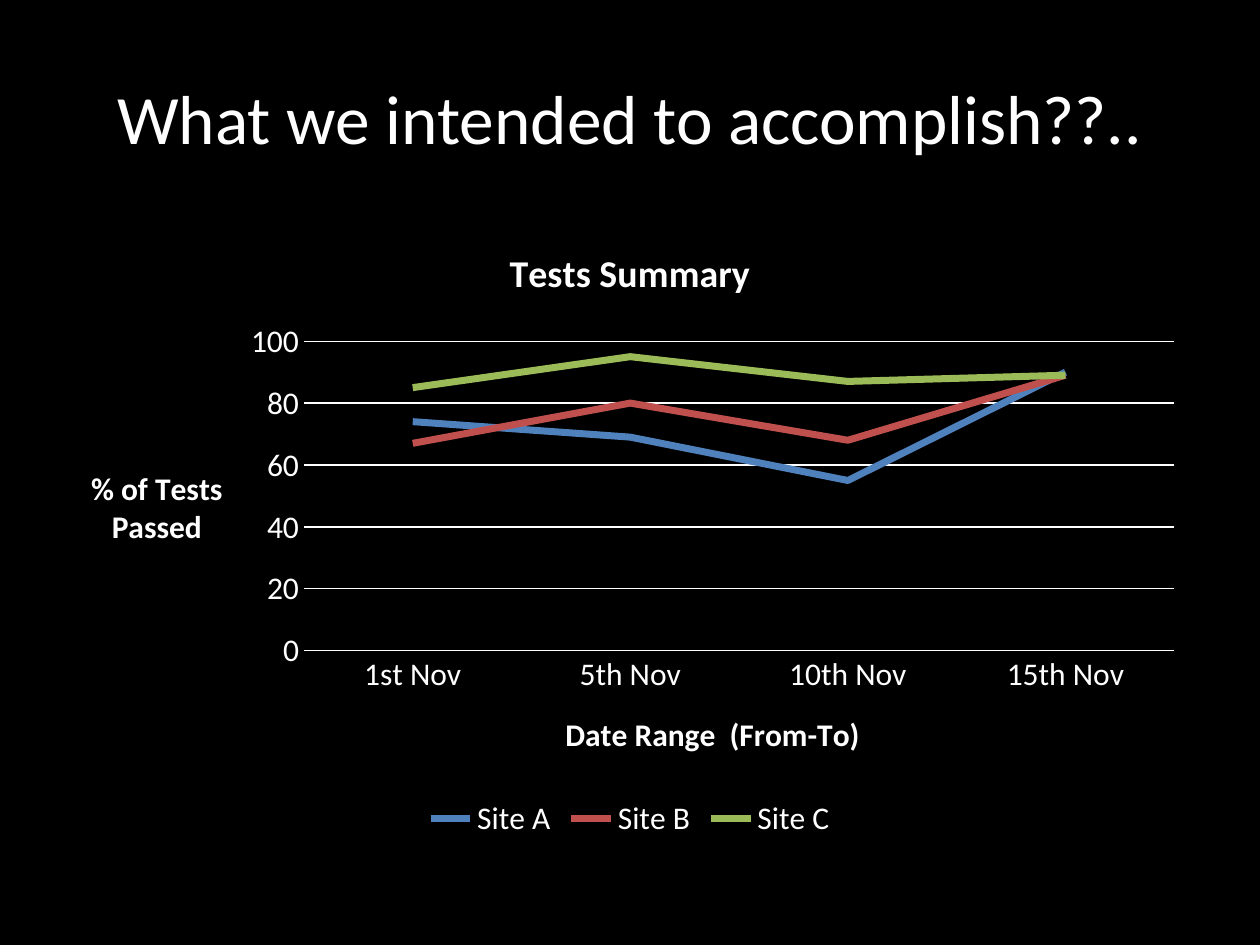
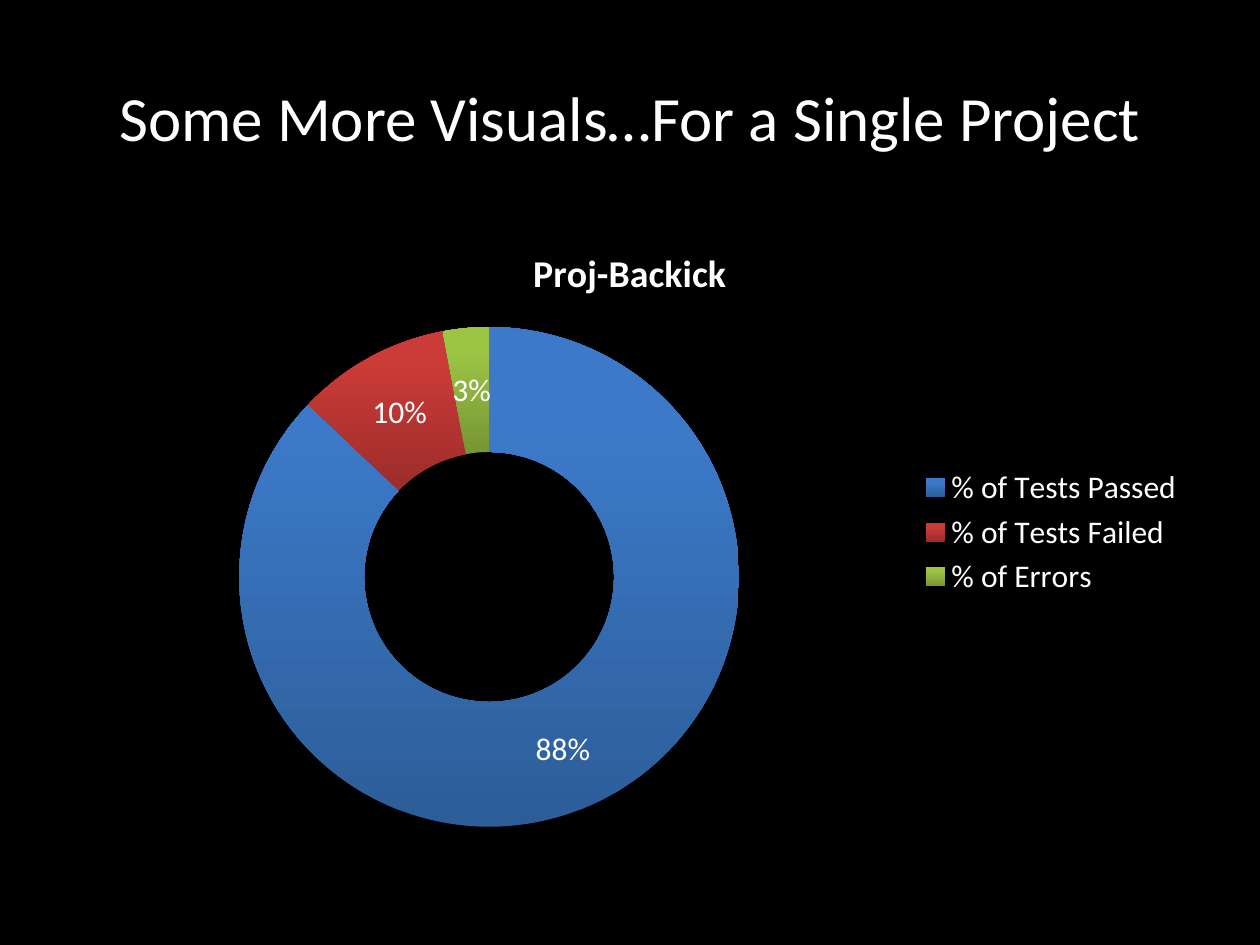
from dataclasses import dataclass

from pptx import Presentation
from pptx.chart.data import CategoryChartData
from pptx.dml.color import RGBColor
from pptx.enum.chart import (
    XL_CHART_TYPE,
    XL_LEGEND_POSITION,
    XL_MARKER_STYLE,
    XL_TICK_MARK,
)
from pptx.enum.text import MSO_ANCHOR, PP_ALIGN
from pptx.util import Inches, Pt

LINE = XL_CHART_TYPE.LINE
DOUGHNUT = XL_CHART_TYPE.DOUGHNUT
BOTTOM = XL_LEGEND_POSITION.BOTTOM
RIGHT = XL_LEGEND_POSITION.RIGHT
NO_MARKER = XL_MARKER_STYLE.NONE
NO_TICK = XL_TICK_MARK.NONE
CENTER = PP_ALIGN.CENTER
MIDDLE = MSO_ANCHOR.MIDDLE
TITLE_ONLY = 5


@dataclass(frozen=True)
class Theme:
    font: str = "Calibri"
    background: RGBColor = RGBColor(0x00, 0x00, 0x00)
    text: RGBColor = RGBColor(0xFF, 0xFF, 0xFF)
    series: tuple = ("4F81BD", "C0504D", "9BBB59")
    gradients: tuple = (("2C5D98", "3C7AC9"), ("9B2D2A", "CB3B38"), ("769535", "9CC445"))
    chart_text: float = 18
    chart_title: float = 21.6
    series_line: float = 4
    grid_line: float = 0.75


THEME = Theme()
WIDTH, HEIGHT = Inches(10), Inches(7.5)
TITLE_AREA = (0.05, 0.04, 0.9, 1 / 6)
CHART_AREA = (0.05, 7 / 30, 0.9, 0.66)


def place(area):
    left, top, width, height = area
    return int(left * WIDTH), int(top * HEIGHT), int(width * WIDTH), int(height * HEIGHT)


def style_font(font, size, bold=False):
    font.name = THEME.font
    font.size = Pt(size)
    font.bold = bold
    font.color.rgb = THEME.text


def style_line(line, color, width):
    line.color.rgb = color
    line.width = Pt(width)


def add_titled_page(deck, title, size):
    page = deck.slides.add_slide(deck.slide_layouts[TITLE_ONLY])
    box = page.shapes.title
    box.left, box.top, box.width, box.height = place(TITLE_AREA)
    frame = box.text_frame
    frame.text = title
    frame.vertical_anchor = MIDDLE
    para = frame.paragraphs[0]
    para.alignment = CENTER
    style_font(para.runs[0].font, size)
    return page


def set_chart_text(frame, text, size):
    frame.text = text
    style_font(frame.paragraphs[0].runs[0].font, size, bold=True)


def add_chart(page, kind, title, categories, series, legend_position):
    data = CategoryChartData()
    data.categories = categories
    for name, values in series:
        data.add_series(name, values)
    chart = page.shapes.add_chart(kind, *place(CHART_AREA), data).chart
    style_font(chart.font, THEME.chart_text)
    chart.has_title = True
    set_chart_text(chart.chart_title.text_frame, title, THEME.chart_title)
    chart.chart_title.include_in_layout = False
    chart.has_legend = True
    chart.legend.position = legend_position
    chart.legend.include_in_layout = False
    return chart


def style_axis(axis, title):
    axis.major_tick_mark = NO_TICK
    axis.minor_tick_mark = NO_TICK
    set_chart_text(axis.axis_title.text_frame, title, THEME.chart_text)


def style_line_chart(chart, category_title, value_title):
    style_axis(chart.category_axis, category_title)
    style_line(chart.category_axis.format.line, THEME.text, THEME.grid_line)

    axis = chart.value_axis
    style_axis(axis, value_title)
    body = axis.axis_title.text_frame._txBody.bodyPr
    body.set("rot", "0")
    body.set("vert", "horz")
    axis.minimum_scale, axis.maximum_scale, axis.major_unit = 0, 100, 20
    axis.format.line.fill.background()
    axis.has_major_gridlines = True
    style_line(axis.major_gridlines.format.line, THEME.text, THEME.grid_line)

    for series, color in zip(chart.plots[0].series, THEME.series):
        series.smooth = False
        series.marker.style = NO_MARKER
        style_line(series.format.line, RGBColor.from_string(color), THEME.series_line)


def style_doughnut(chart):
    plot = chart.plots[0]
    plot.vary_by_categories = True
    for index, colors in enumerate(THEME.gradients):
        point = plot.series[0].points[index]
        fill = point.format.fill
        fill.gradient()
        fill.gradient_angle = 90
        for stop, color, position in zip(fill.gradient_stops, colors, (0, 0.8)):
            stop.color.rgb = RGBColor.from_string(color)
            stop.position = position
        point.format.line.fill.background()
    plot.has_data_labels = True
    labels = plot.data_labels
    labels.show_percentage = False
    labels.show_value = True
    labels.number_format = '0"%"'
    labels.number_format_is_linked = False
    style_font(labels.font, THEME.chart_text)


def add_summary_page(deck):
    page = add_titled_page(deck, "What we intended to accomplish??..", 39.6)
    chart = add_chart(
        page, LINE, "Tests Summary",
        ("1st Nov", "5th Nov", "10th Nov", "15th Nov"),
        (
            ("Site A", (74, 69, 55, 90)),
            ("Site B", (67, 80, 68, 89)),
            ("Site C", (85, 95, 87, 89)),
        ),
        BOTTOM,
    )
    style_line_chart(chart, "Date Range  (From-To)", "% of Tests Passed")


def add_project_page(deck):
    page = add_titled_page(deck, "Some More Visuals…For a Single Project", 36)
    project = "Proj-Backick"
    chart = add_chart(
        page, DOUGHNUT, project,
        ("% of Tests Passed", "% of Tests Failed", "% of Errors"),
        ((project, (88, 10, 3)),),
        RIGHT,
    )
    style_doughnut(chart)


def main():
    deck = Presentation()
    deck.slide_width, deck.slide_height = WIDTH, HEIGHT
    fill = deck.slide_master.background.fill
    fill.solid()
    fill.fore_color.rgb = THEME.background
    add_summary_page(deck)
    add_project_page(deck)
    deck.save("out.pptx")


main()
